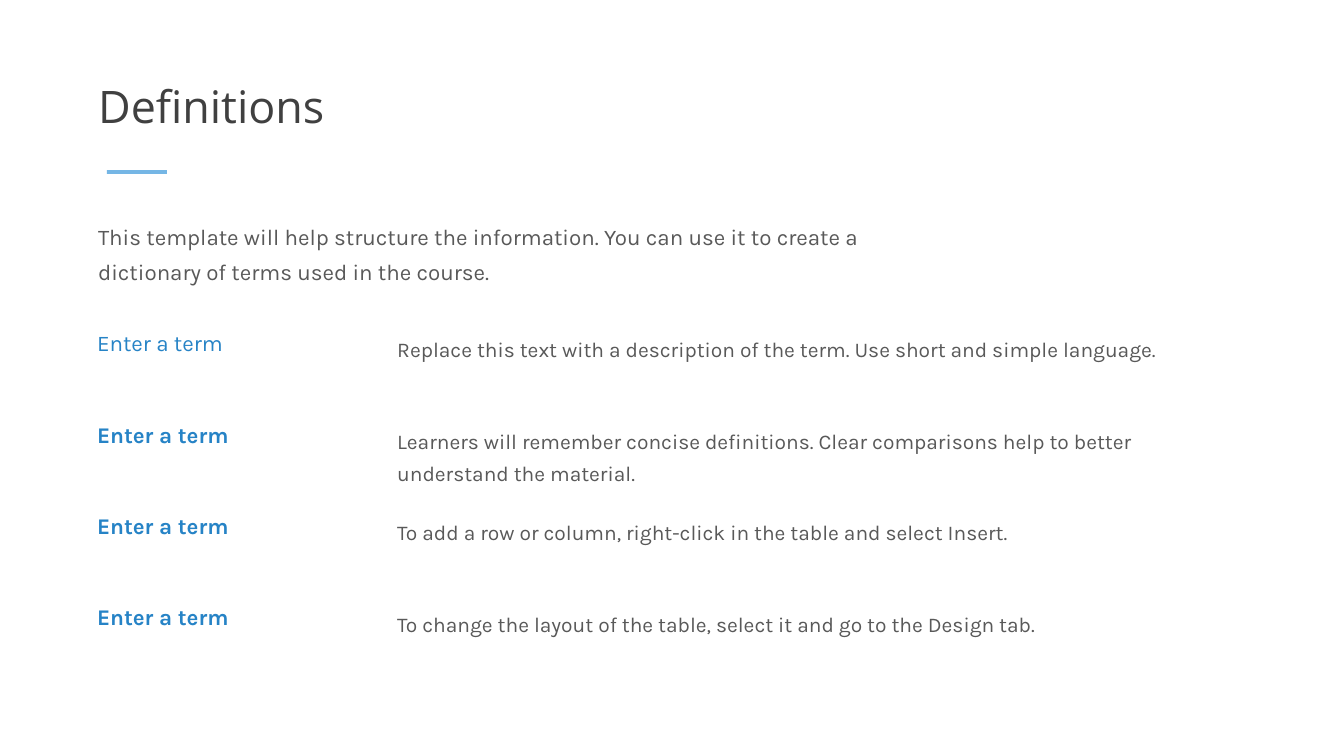
from lxml import etree
from pptx import Presentation
from pptx.dml.color import RGBColor
from pptx.enum.shapes import MSO_SHAPE
from pptx.enum.text import MSO_ANCHOR, MSO_AUTO_SIZE, PP_ALIGN
from pptx.oxml.ns import qn
from pptx.util import Inches, Pt

RECTANGLE = MSO_SHAPE.RECTANGLE
TOP, BOTTOM = MSO_ANCHOR.TOP, MSO_ANCHOR.BOTTOM
NO_FIT = MSO_AUTO_SIZE.NONE
LEFT = PP_ALIGN.LEFT

WHITE = RGBColor(0xFF, 0xFF, 0xFF)
DARK = RGBColor(0x40, 0x40, 0x40)
GREY = RGBColor(0x59, 0x59, 0x59)
BLUE = RGBColor(0x26, 0x83, 0xC6)
LIGHT_BLUE = RGBColor(0x75, 0xB6, 0xE5)

TITLE = "Definitions"
INTRO = ("This template will help structure the information. "
         "You can use it to create a dictionary of terms used in the course.")
DEFINITIONS = [
    ("Enter a term", "Replace this text with a description of the term. "
                     "Use short and simple language."),
    ("Enter a term", "Learners will remember concise definitions. "
                     "Clear comparisons help to better understand the material."),
    ("Enter a term", "To add a row or column, right-click in the table and select Insert."),
    ("Enter a term", "To change the layout of the table, select it and go to the Design tab."),
]

TITLE_BOX = (88, 13, 1164, 125)
ACCENT_BOX = (107, 170, 60, 4)
INTRO_BOX = (88, 210, 860, 74)
TABLE_BOX = (87, 326, 1165, 366)
COLUMN_WIDTHS = (300, 865)
PIXEL = Inches(1) / 100.8


def emu(pixels):
    """Turn pixels into EMU."""
    return round(pixels * PIXEL)


def write(frame, text, font, size, color, spacing=None, bold=False):
    """Put one left-aligned paragraph into a frame and return it."""
    frame.text = text
    para = frame.paragraphs[0]
    para.alignment = LEFT
    para.line_spacing = spacing
    para.font.name = font
    para.font.size = Pt(size)
    para.font.color.rgb = color
    para.font.bold = bold
    return para


def fill_placeholder(holder, box, anchor, *text_style):
    """Move a placeholder and write its text."""
    holder.left, holder.top, holder.width, holder.height = map(emu, box)
    frame = holder.text_frame
    frame.auto_size = NO_FIT
    frame.vertical_anchor = anchor
    return write(frame, *text_style)


def remove_bullet(para):
    """Take the bullet and the hanging indent off a paragraph."""
    properties = para._p.get_or_add_pPr()
    properties.set("marL", "0")
    properties.set("indent", "0")
    bullet = etree.Element(qn("a:buNone"))
    properties.find(qn("a:defRPr")).addprevious(bullet)


def add_definitions(page):
    """Add the table of terms and descriptions."""
    table = page.shapes.add_table(
        len(DEFINITIONS), len(COLUMN_WIDTHS), *map(emu, TABLE_BOX)).table
    table.first_row = table.horz_banding = False
    for column, width in zip(table.columns, COLUMN_WIDTHS):
        column.width = emu(width)
    for index, (row, (term, description)) in enumerate(zip(table.rows, DEFINITIONS)):
        term_cell, description_cell = row.cells
        write(term_cell.text_frame, term, "Karla", 16, BLUE, bold=index > 0)
        write(description_cell.text_frame, description, "Karla", 15, GREY, 1.3)
        for cell in row.cells:
            cell.fill.solid()
            cell.fill.fore_color.rgb = WHITE


deck = Presentation()
deck.slide_width, deck.slide_height = Inches(13.33), Inches(7.5)
page = deck.slides.add_slide(deck.slide_layouts[1])

fill_placeholder(page.shapes.title, TITLE_BOX, BOTTOM, TITLE, "Open Sans", 32, DARK, 0.9)
intro = fill_placeholder(page.placeholders[1], INTRO_BOX, TOP, INTRO, "Karla", 16, GREY, 1.3)
intro.space_before = Pt(10)
remove_bullet(intro)

accent = page.shapes.add_shape(RECTANGLE, *map(emu, ACCENT_BOX))
accent.shadow.inherit = False
accent.fill.solid()
accent.fill.fore_color.rgb = LIGHT_BLUE
accent.line.fill.background()

add_definitions(page)
deck.save("out.pptx")
